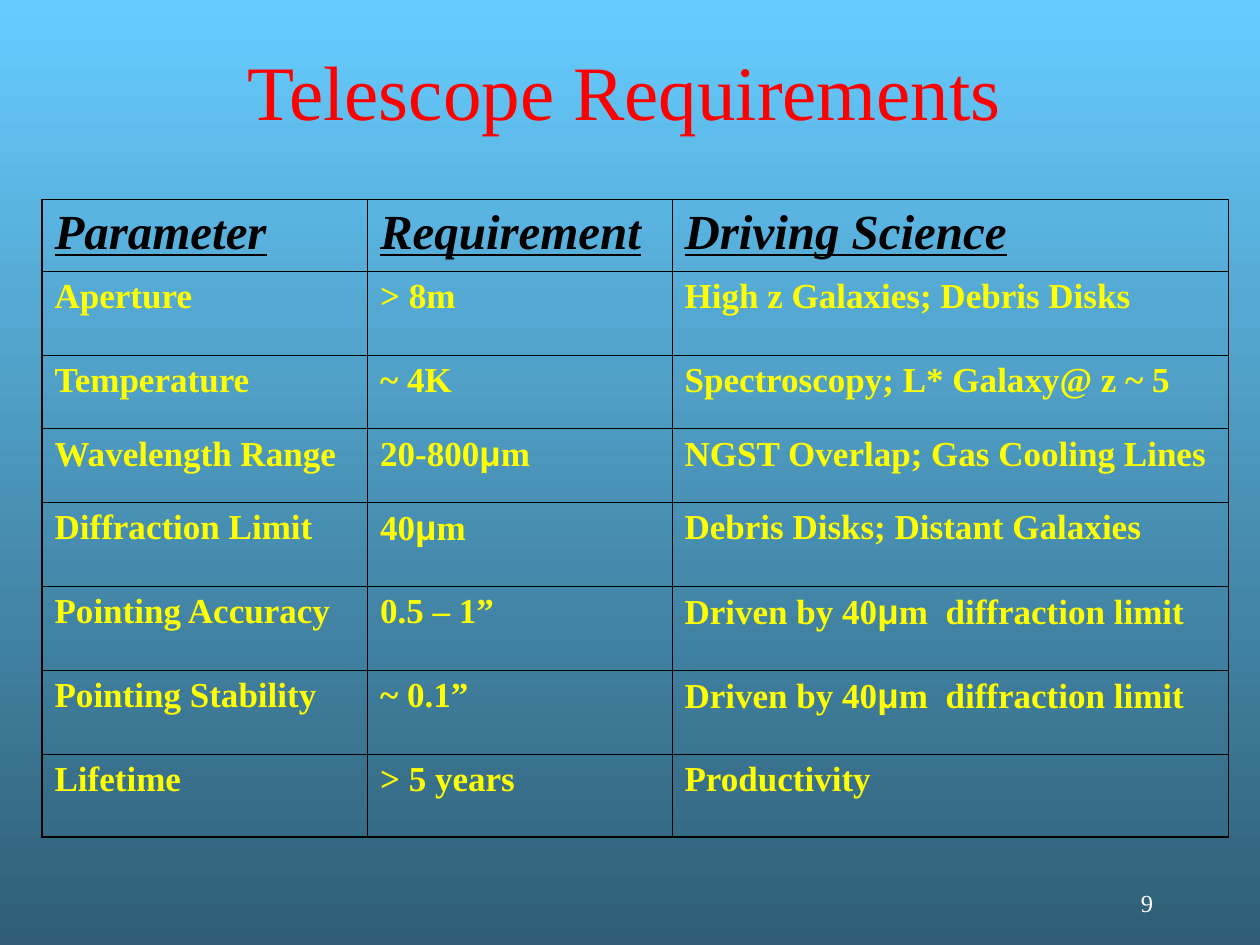
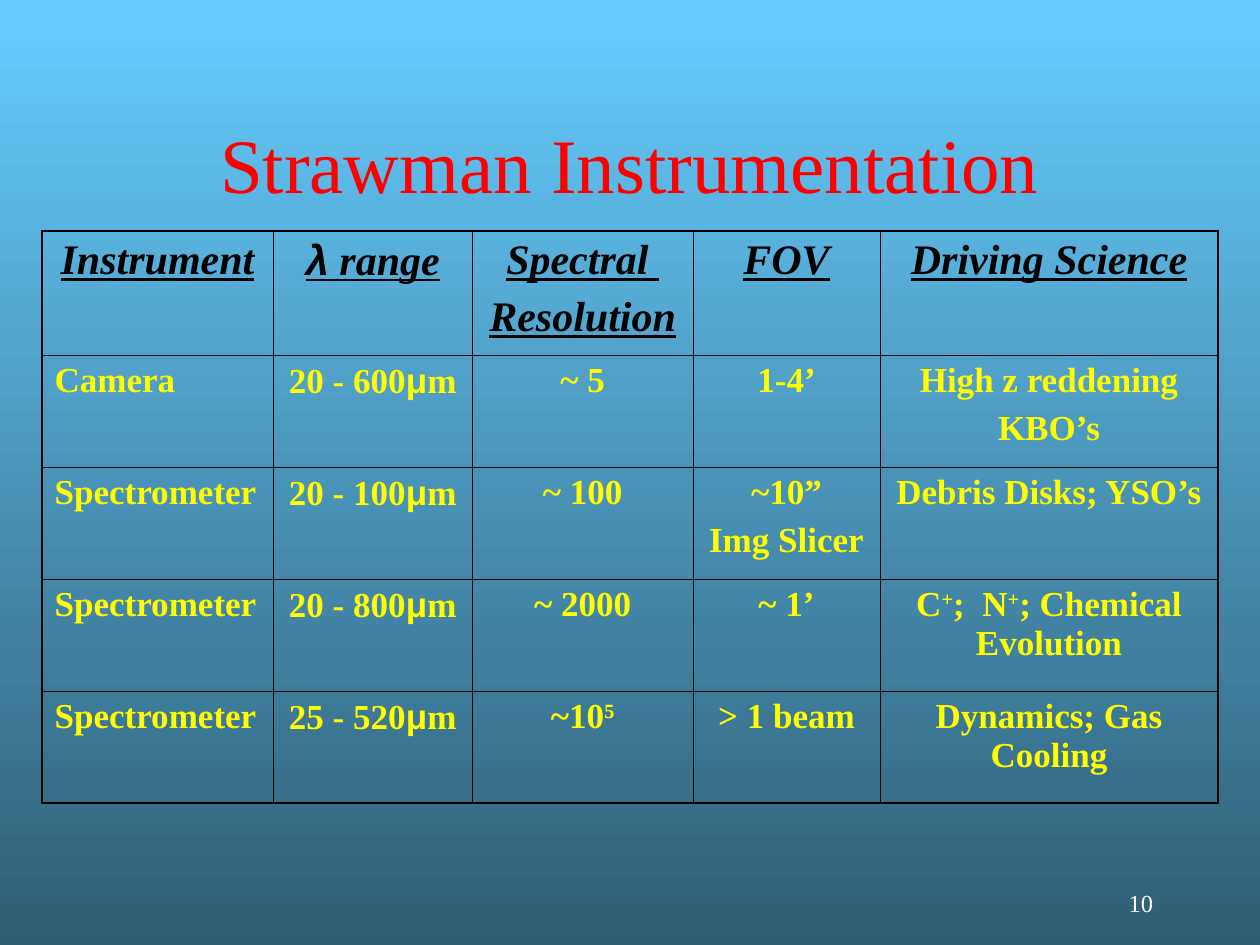
from itertools import groupby

from lxml.etree import SubElement
from pptx import Presentation
from pptx.dml.color import RGBColor
from pptx.enum.text import MSO_ANCHOR as Anchor, PP_ALIGN as Align
from pptx.oxml.ns import qn
from pptx.util import Pt

SERIF, GREEK_FONT = "Times New Roman", "Arial"
SKY, DEEP_SEA = "66CCFF", "2F5E75"
TITLE_RED, HEADING_BLACK, ENTRY_YELLOW, NUMBER_WHITE = "FF0000", "000000", "FFFF00", "FFFFFF"
OUTER_RULE, INNER_RULE = Pt(1.08), Pt(0.45)

REQUIREMENTS = [
    ["Parameter", "Requirement", "Driving Science"],
    ["Aperture", "> 8m", "High z Galaxies; Debris Disks"],
    ["Temperature", "~ 4K", "Spectroscopy; L* Galaxy@ z ~ 5"],
    ["Wavelength Range", "20-800μm", "NGST Overlap; Gas Cooling Lines"],
    ["Diffraction Limit", "40μm", "Debris Disks; Distant Galaxies"],
    ["Pointing Accuracy", "0.5 – 1”", "Driven by 40μm  diffraction limit"],
    ["Pointing Stability", "~ 0.1”", "Driven by 40μm  diffraction limit"],
    ["Lifetime", "> 5 years", "Productivity"],
]
INSTRUMENTS = [
    ["Instrument", "λ range", "Spectral \nResolution", "FOV", "Driving Science"],
    ["Camera", "20 - 600μm", "~ 5", "1-4’", "High z reddening\nKBO’s"],
    ["Spectrometer", "20 - 100μm", "~ 100", "~10”\nImg Slicer", "Debris Disks; YSO’s"],
    ["Spectrometer", "20 - 800μm", "~ 2000", "~ 1’", "C^+^;  N^+^; Chemical Evolution"],
    ["Spectrometer", "25 - 520μm", "~10^5^", "> 1 beam", "Dynamics; Gas Cooling"],
]


def color(hex_code):
    """Turn a hex string into a colour."""
    return RGBColor.from_string(hex_code)


def style_paragraph(paragraph, size, ink, align, bold=False, heading=False):
    """Set the alignment and font of a whole paragraph."""
    paragraph.alignment = align
    font = paragraph.font
    font.name, font.size, font.color.rgb = SERIF, Pt(size), color(ink)
    font.bold, font.italic, font.underline = bold, heading, heading


def add_rich_text(paragraph, text):
    """Write text with ^superscripts^ raised and Greek letters in their own font."""
    for index, part in enumerate(text.split("^")):
        for is_greek, letters in groupby(part, lambda letter: letter in "λμ"):
            run = paragraph.add_run()
            run.text = "".join(letters)
            if is_greek:
                run.font.name = GREEK_FONT
            if index % 2:
                run.font._element.set("baseline", "30000")


def add_line(slide, text, place, size, ink, align, anchor):
    """Add a one-paragraph text box at place (left, top, width, height)."""
    frame = slide.shapes.add_textbox(*map(Pt, place)).text_frame
    frame.word_wrap = True
    frame.vertical_anchor = anchor
    frame.text = text
    style_paragraph(frame.paragraphs[0], size, ink, align)


def add_titled_slide(deck, title, title_place, number):
    """Add a slide with the shared gradient, title style and page number."""
    slide = deck.slides.add_slide(deck.slide_layouts[6])
    backdrop = slide.background.fill
    backdrop.gradient()
    backdrop.gradient_angle = 270
    for stop, shade in zip(backdrop.gradient_stops, (SKY, DEEP_SEA)):
        stop.color.rgb = color(shade)
    add_line(slide, title, title_place, 44, TITLE_RED, Align.CENTER, Anchor.MIDDLE)
    add_line(slide, str(number), (516, 504, 150, 36), 14, NUMBER_WHITE, Align.RIGHT, Anchor.TOP)
    return slide


def rule_cell(cell, outer_sides):
    """Draw the four borders of a cell, heavier on the table's outer sides."""
    properties = cell._tc.get_or_add_tcPr()
    for position, side in enumerate("LRTB"):
        width = OUTER_RULE if side in outer_sides else INNER_RULE
        border = SubElement(properties, qn(f"a:ln{side}"), w=str(width))
        fill = SubElement(border, qn("a:solidFill"))
        SubElement(fill, qn("a:srgbClr"), val=HEADING_BLACK)
        properties.insert(position, border)


def fill_cell(cell, text, size, ink, align, gap, heading):
    """Write one paragraph per line of text into a clear cell."""
    cell.fill.background()
    frame = cell.text_frame
    for index, line in enumerate(text.split("\n")):
        paragraph = frame.add_paragraph() if index else frame.paragraphs[0]
        if index:
            paragraph.space_before = Pt(gap)
        style_paragraph(paragraph, size, ink, align, bold=True, heading=heading)
        add_rich_text(paragraph, line)


def add_ruled_table(slide, entries, top, widths, heights, heading_size, heading_align, column_aligns):
    """Add a ruled table whose first row holds the headings."""
    table = slide.shapes.add_table(
        len(heights), len(widths), Pt(24), Pt(top), Pt(sum(widths)), Pt(sum(heights))).table
    table.first_row = table.horz_banding = False
    for column, width in zip(table.columns, widths):
        column.width = Pt(width)
    for r, (row, height) in enumerate(zip(table.rows, heights)):
        row.height = Pt(height)
        for c, cell in enumerate(row.cells):
            if r == 0:
                fill_cell(cell, entries[r][c], heading_size, HEADING_BLACK, heading_align, 6, True)
            else:
                fill_cell(cell, entries[r][c], 20, ENTRY_YELLOW, column_aligns[c], 5, False)
            edges = {"L": c == 0, "R": c == len(widths) - 1, "T": r == 0, "B": r == len(heights) - 1}
            rule_cell(cell, [side for side, is_outer in edges.items() if is_outer])


def main():
    """Build both slides and save the deck."""
    deck = Presentation()
    deck.slide_width, deck.slide_height = Pt(720), Pt(540)

    telescope = add_titled_slide(deck, "Telescope Requirements", (54, 24, 606, 54), 9)
    add_ruled_table(telescope, REQUIREMENTS, 114, [186, 174, 318],
                    [41, 48, 42, 42, 48, 48, 48, 47.5], 28, Align.LEFT, [Align.LEFT] * 3)

    strawman = add_titled_slide(deck, "Strawman Instrumentation", (54, 48, 612, 90), 10)
    add_ruled_table(strawman, INSTRUMENTS, 132, [132, 114, 126, 107, 193],
                    [71] + [64] * 4, 24, Align.CENTER, [Align.LEFT] + [Align.CENTER] * 4)

    deck.save("out.pptx")


if __name__ == "__main__":
    main()
